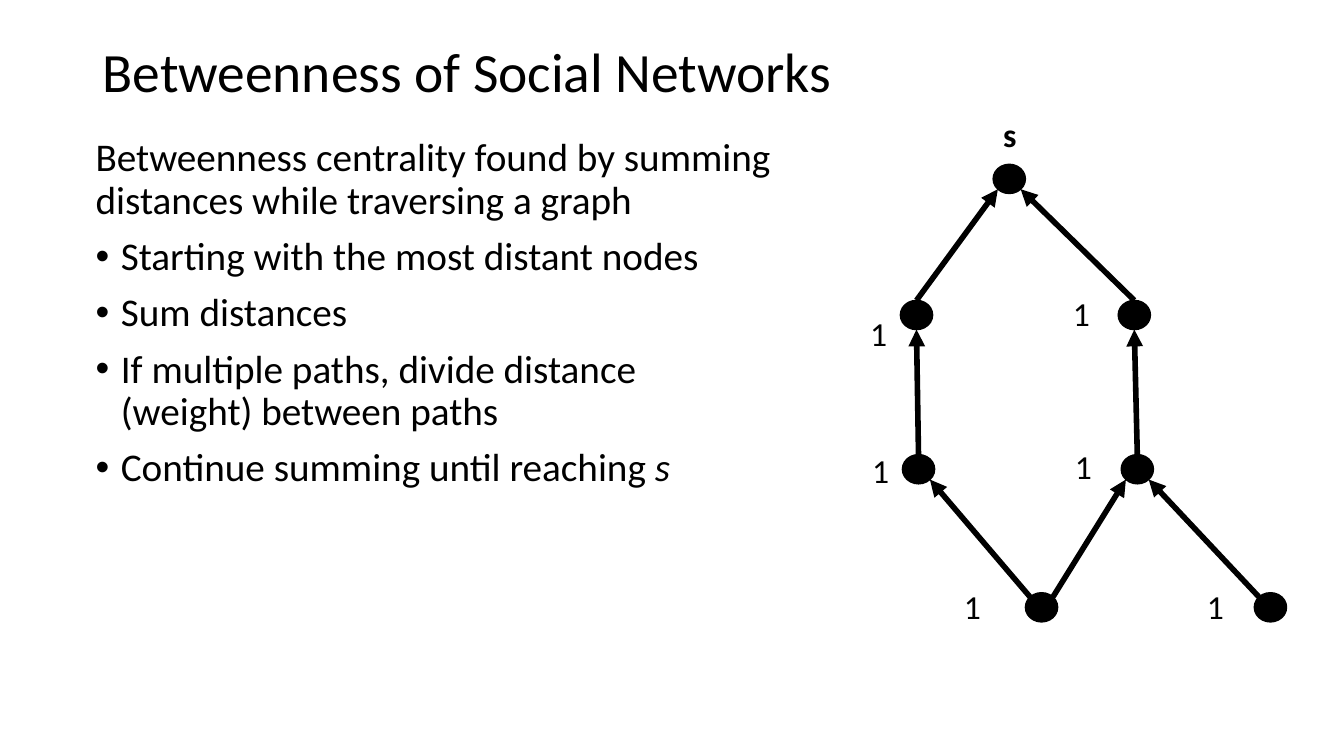
from math import cos, radians, sin
from typing import NamedTuple

from lxml.etree import SubElement
from pptx import Presentation
from pptx.dml.color import RGBColor
from pptx.enum.shapes import MSO_CONNECTOR as Connector, MSO_SHAPE as Shape
from pptx.enum.text import MSO_ANCHOR as Anchor, MSO_AUTO_SIZE as AutoSize, PP_ALIGN as Align
from pptx.oxml.ns import qn
from pptx.util import Pt

PX = 9144  # EMU per px, 100 px to the inch
COLORS = {"ink": "000000", "paper": "FFFFFF"}
FONT = "Calibri"
NODE_WIDTH, NODE_HEIGHT = 32, 29
LABEL_WIDTH, LABEL_HEIGHT = 59, 50
BULLET_INDENT = 25

# Connection sites of an ellipse, counterclockwise from the top
TOP, TOP_LEFT, LEFT, BOTTOM_LEFT, BOTTOM, BOTTOM_RIGHT, RIGHT, TOP_RIGHT = range(8)


class Node(NamedTuple):
    left: int
    top: int
    label: str
    label_left: int
    label_top: int


class Edge(NamedTuple):
    start: str
    start_site: int
    end: str
    end_site: int


class Line(NamedTuple):
    text: str
    italic_end: str = ""
    bullet: bool = True


NODES = {
    "source": Node(985, 163, "s", 972, 108),
    "upper left": Node(893, 298, "1", 842, 306),
    "upper right": Node(1109, 298, "1", 1043, 286),
    "lower left": Node(895, 451, "1", 844, 441),
    "lower right": Node(1112, 451, "1", 1045, 437),
    "leaf left": Node(1017, 588, "1", 935, 576),
    "leaf right": Node(1244, 588, "1", 1176, 576),
}

EDGES = [
    Edge("leaf left", TOP_LEFT, "lower left", BOTTOM_RIGHT),
    Edge("lower left", TOP, "upper left", BOTTOM),
    Edge("upper left", TOP, "source", BOTTOM_LEFT),
    Edge("leaf right", TOP_LEFT, "lower right", BOTTOM_RIGHT),
    Edge("leaf left", TOP_RIGHT, "lower right", BOTTOM_LEFT),
    Edge("lower right", TOP, "upper right", BOTTOM),
    Edge("upper right", TOP, "source", BOTTOM_RIGHT),
]

BODY = [
    Line("Betweenness centrality found by summing distances while traversing a graph", bullet=False),
    Line("Starting with the most distant nodes"),
    Line("Sum distances"),
    Line("If multiple paths, divide distance (weight) between paths"),
    Line("Continue summing until reaching ", italic_end="s"),
]


def color(name: str) -> RGBColor:
    return RGBColor.from_string(COLORS[name])


def add_bullet(paragraph) -> None:
    properties = paragraph._p.get_or_add_pPr()
    properties.set("marL", str(BULLET_INDENT * PX))
    properties.set("indent", str(-BULLET_INDENT * PX))
    SubElement(properties, qn("a:buFont"), typeface="Arial")
    SubElement(properties, qn("a:buChar"), char="•")


def add_text(slide, lines: list[Line], left: int, top: int, width: int, height: int, *,
             size: float, bold: bool = False, align: Align = Align.LEFT,
             anchor: Anchor = Anchor.TOP, line_spacing: float = 1.0,
             space_before: int = 0, grow: bool = False) -> None:
    box = slide.shapes.add_textbox(left * PX, top * PX, width * PX, height * PX)
    frame = box.text_frame
    frame.word_wrap = True
    frame.auto_size = AutoSize.SHAPE_TO_FIT_TEXT if grow else AutoSize.NONE
    frame.vertical_anchor = anchor
    for index, line in enumerate(lines):
        paragraph = frame.add_paragraph() if index else frame.paragraphs[0]
        if line.bullet:
            add_bullet(paragraph)
        paragraph.alignment = align
        paragraph.line_spacing = line_spacing
        paragraph.space_before = Pt(space_before if index else 0)
        for text, italic in ((line.text, False), (line.italic_end, True)):
            if text:
                run = paragraph.add_run()
                run.text = text
                font = run.font
                font.name, font.size = FONT, Pt(size)
                font.bold, font.italic = bold, italic
                font.color.rgb = color("ink")


def add_node(slide, node: Node):
    shape = slide.shapes.add_shape(Shape.OVAL, node.left * PX, node.top * PX,
                                   NODE_WIDTH * PX, NODE_HEIGHT * PX)
    shape.shadow.inherit = False
    shape.fill.solid()
    shape.fill.fore_color.rgb = color("ink")
    shape.line.color.rgb = color("ink")
    shape.line.width = Pt(1)
    return shape


def site_point(node: Node, site: int) -> tuple[int, int]:
    """Return the EMU position of a connection site on a node's rim."""
    angle = radians(90 + 45 * site)
    x = node.left + NODE_WIDTH / 2 * (1 + cos(angle))
    y = node.top + NODE_HEIGHT / 2 * (1 - sin(angle))
    return round(x * PX), round(y * PX)


def add_edge(slide, edge: Edge, ovals: dict) -> None:
    """Draw an arrow glued to ellipse sites, which begin_connect does not cover."""
    connector = slide.shapes.add_connector(
        Connector.STRAIGHT,
        *site_point(NODES[edge.start], edge.start_site),
        *site_point(NODES[edge.end], edge.end_site))
    connector.line.color.rgb = color("ink")
    connector.line.width = Pt(4)
    properties = connector._element.spPr
    SubElement(properties.find(qn("a:ln")), qn("a:tailEnd"), type="triangle")
    SubElement(properties, qn("a:effectLst"))
    joints = connector._element.nvCxnSpPr.cNvCxnSpPr
    for tag, name, site in (("a:stCxn", edge.start, edge.start_site),
                            ("a:endCxn", edge.end, edge.end_site)):
        SubElement(joints, qn(tag), id=str(ovals[name].shape_id), idx=str(site))


def main() -> None:
    presentation = Presentation()
    presentation.slide_width, presentation.slide_height = 1333 * PX, 750 * PX
    slide = presentation.slides.add_slide(presentation.slide_layouts[6])
    slide.background.fill.solid()
    slide.background.fill.fore_color.rgb = color("paper")

    add_text(slide, [Line("Betweenness of Social Networks", bullet=False)], 92, 40, 1150, 68,
             size=39.6, anchor=Anchor.MIDDLE, line_spacing=0.9)
    add_text(slide, BODY, 85, 132, 692, 596, size=28, line_spacing=0.9, space_before=10)

    ovals = {name: add_node(slide, node) for name, node in NODES.items()}
    for edge in EDGES:
        add_edge(slide, edge, ovals)
    for name, node in NODES.items():
        add_text(slide, [Line(node.label, bullet=False)], node.label_left, node.label_top,
                 LABEL_WIDTH, LABEL_HEIGHT, size=24, bold=name == "source",
                 align=Align.CENTER, grow=True)

    presentation.save("out.pptx")


if __name__ == "__main__":
    main()
